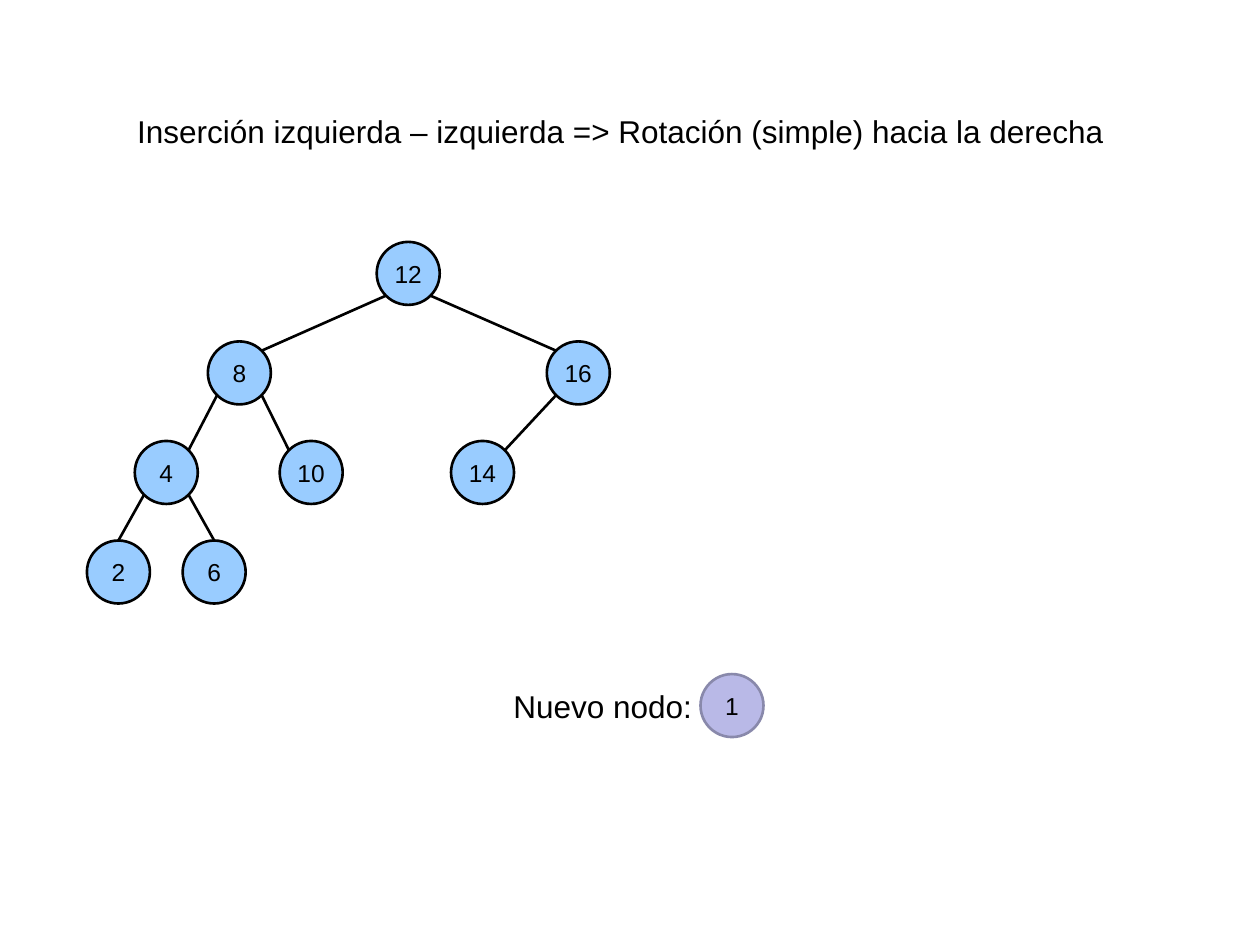
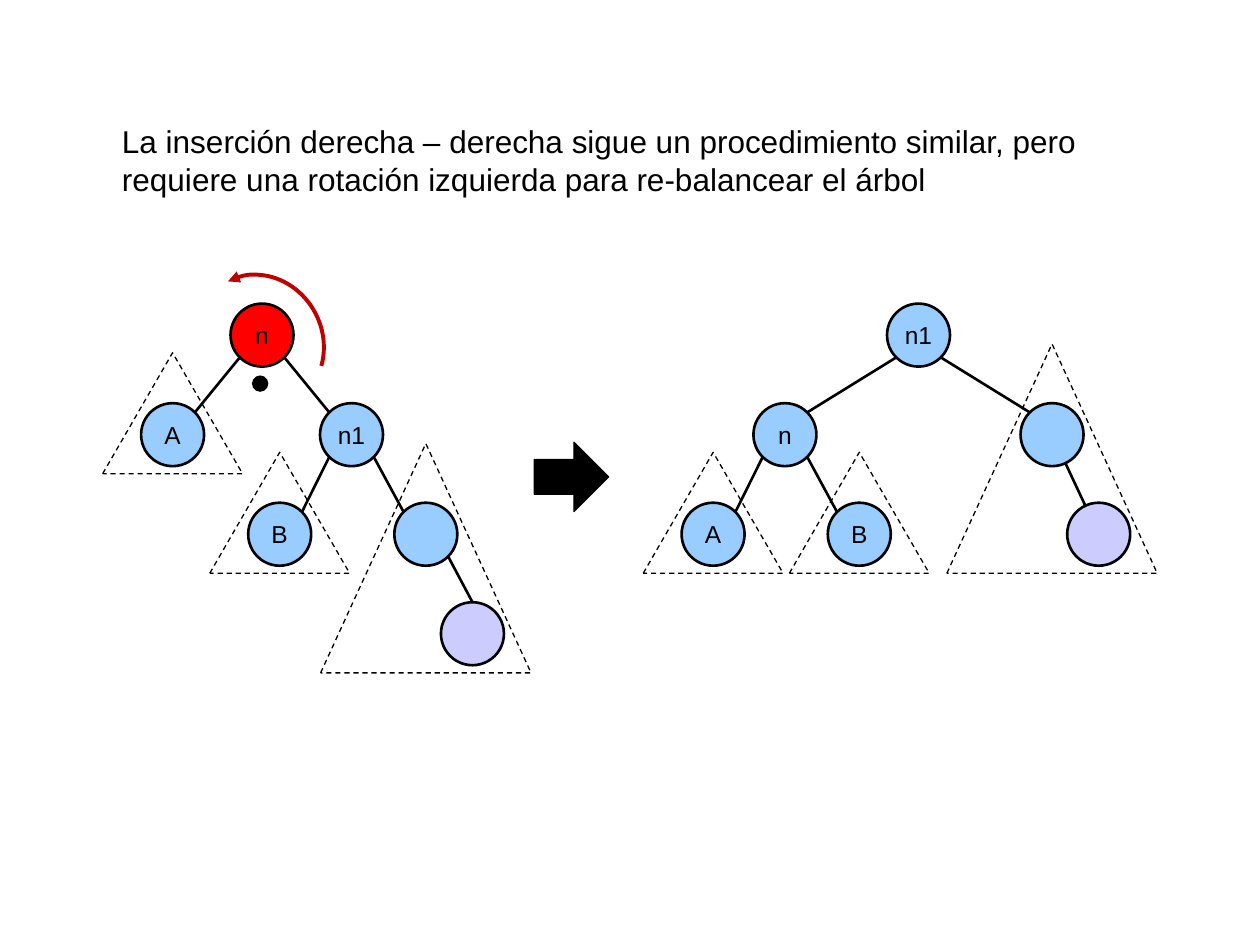
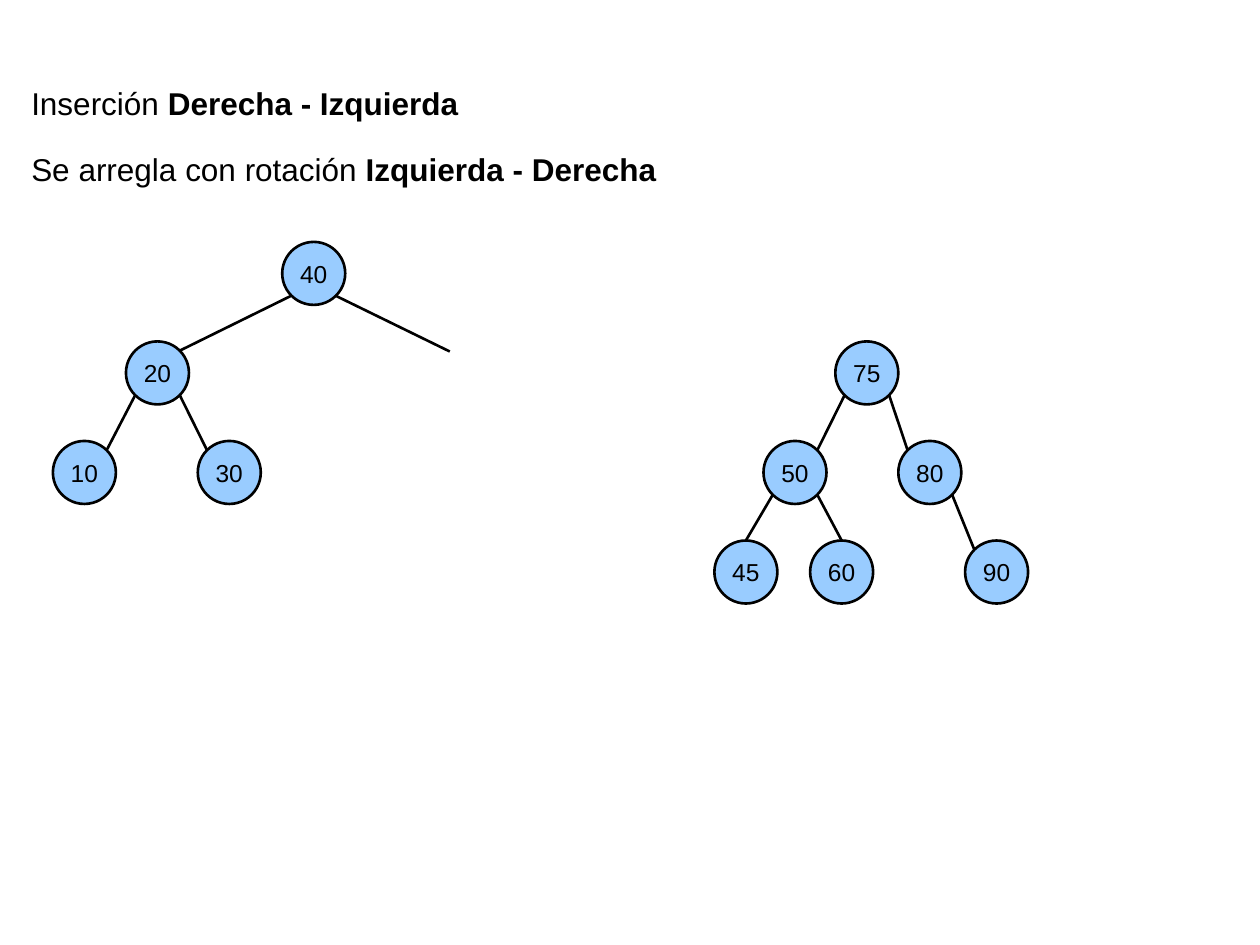
from dataclasses import dataclass
from math import hypot, sqrt

from lxml.etree import SubElement
from pptx import Presentation
from pptx.dml.color import RGBColor
from pptx.enum.dml import MSO_LINE
from pptx.enum.shapes import MSO_CONNECTOR, MSO_SHAPE
from pptx.enum.text import MSO_ANCHOR, MSO_AUTO_SIZE, PP_ALIGN
from pptx.oxml.ns import qn
from pptx.util import Inches, Pt


@dataclass(frozen=True)
class Theme:
    font: str = "Arial"
    body_size: int = 18
    node_size: int = 14
    ink: str = "000000"
    node: str = "99CCFF"
    new_node: str = "CCCCFF"
    pending: str = "B9B9E7"
    pending_line: str = "8989AB"
    unbalanced: str = "FF0000"
    turn: str = "C00000"
    node_line: float = 1.5
    thin_line: float = 0.75
    turn_line: float = 2.25


@dataclass(frozen=True)
class Subtree:
    """Dashed triangle around a node; lift is its height above the node."""
    width: float
    height: float
    lift: float


@dataclass(frozen=True)
class Node:
    key: str
    left: float
    level: int = 0
    parent: str = ""
    label: str | None = None
    fill: str = Theme.node
    subtree: Subtree | None = None
    radial: bool = False  # edge runs straight between the centres


DIAMETER = 0.5
RADIUS = DIAMETER / 2
CORNER = RADIUS / sqrt(2)
LEVEL_STEP = 0.79
NARROW = 0.45  # closer children take their edge at the top
SMALL = Subtree(1.11, 0.96, 0.4)
LARGE = Subtree(1.67, 1.82, 0.47)


class Deck:
    def __init__(self, theme):
        self.theme = theme
        self.prs = Presentation()
        self.prs.slide_width, self.prs.slide_height = Inches(10), Inches(7.5)
        self.shapes = None

    def new_slide(self):
        self.shapes = self.prs.slides.add_slide(self.prs.slide_layouts[6]).shapes

    def style(self, paragraph, size):
        font = paragraph.font
        font.name, font.size = self.theme.font, Pt(size)
        font.color.rgb = RGBColor.from_string(self.theme.ink)

    def text(self, left, top, width, height, *parts, align=PP_ALIGN.LEFT, wrap=True):
        """Parts alternate between regular and bold."""
        box = self.shapes.add_textbox(Inches(left), Inches(top), Inches(width), Inches(height))
        frame = box.text_frame
        frame.word_wrap = wrap
        frame.auto_size = MSO_AUTO_SIZE.SHAPE_TO_FIT_TEXT
        paragraph = frame.paragraphs[0]
        paragraph.alignment = align
        self.style(paragraph, self.theme.body_size)
        for index, part in enumerate(parts):
            run = paragraph.add_run()
            run.text = part
            if index % 2:
                run.font.bold = True

    def shape(self, kind, left, top, width, height, fill=None, line=None, weight=Theme.thin_line):
        shape = self.shapes.add_shape(
            kind, Inches(left), Inches(top), Inches(width), Inches(height))
        shape.shadow.inherit = False
        if fill:
            shape.fill.solid()
            shape.fill.fore_color.rgb = RGBColor.from_string(fill)
        else:
            shape.fill.background()
        if line:
            shape.line.color.rgb = RGBColor.from_string(line)
            shape.line.width = Pt(weight)
        else:
            shape.line.fill.background()
        return shape

    def circle(self, left, top, label, fill, line=Theme.ink):
        circle = self.shape(MSO_SHAPE.OVAL, left, top, DIAMETER, DIAMETER,
                            fill, line, self.theme.node_line)
        if label:
            frame = circle.text_frame
            frame.margin_left = frame.margin_right = frame.margin_top = frame.margin_bottom = 0
            frame.word_wrap = False
            frame.vertical_anchor = MSO_ANCHOR.MIDDLE
            paragraph = frame.paragraphs[0]
            paragraph.text = label
            paragraph.alignment = PP_ALIGN.CENTER
            self.style(paragraph, self.theme.node_size)

    def edge(self, start, end):
        edge = self.shapes.add_connector(MSO_CONNECTOR.STRAIGHT, *map(Inches, (*start, *end)))
        edge.line.color.rgb = RGBColor.from_string(self.theme.ink)
        edge.line.width = Pt(self.theme.node_line)
        SubElement(edge._element.spPr, qn("a:effectLst"))

    def join(self, parent, child, radial):
        """Draw the edge between two node centres."""
        (px, py), (cx, cy) = parent, child
        dx, dy = cx - px, cy - py
        side = 1 if dx > 0 else -1
        if radial:
            ux, uy = (RADIUS * d / hypot(dx, dy) for d in (dx, dy))
            self.edge((px + ux, py + uy), (cx - ux, cy - uy))
            return
        end = (cx, cy - RADIUS) if abs(dx) < NARROW else (cx - side * CORNER, cy - CORNER)
        self.edge((px + side * CORNER, py + CORNER), end)

    def tree(self, top, nodes):
        outer = self.shapes
        self.shapes = outer.add_group_shape().shapes
        centres = {}
        for node in nodes:
            node_top = top + node.level * LEVEL_STEP
            label = node.key if node.label is None else node.label
            self.circle(node.left, node_top, label, node.fill)
            centre = centres[node.key] = (node.left + RADIUS, node_top + RADIUS)
            if node.parent:
                self.join(centres[node.parent], centre, node.radial)
        for node in nodes:
            if node.subtree:
                self.subtree(centres[node.key], node.subtree)
        self.shapes = outer

    def subtree(self, centre, size):
        x, y = centre
        triangle = self.shape(
            MSO_SHAPE.ISOSCELES_TRIANGLE, x - size.width / 2, y - RADIUS - size.lift,
            size.width, size.height, line=self.theme.ink)
        triangle.line.dash_style = MSO_LINE.DASH

    def left_turn(self, left, top, width, height):
        arc = self.shape(MSO_SHAPE.ARC, left, top, width, height,
                         line=self.theme.turn, weight=self.theme.turn_line)
        arc.adjustments[0], arc.adjustments[1] = 132.62, 0.13
        arc.rotation = 62.3
        arc._element.spPr.xfrm.set("flipH", "1")
        SubElement(arc.line._get_or_add_ln(), qn("a:tailEnd"), type="triangle")


def left_left(deck):
    deck.new_slide()
    deck.text(0.99, 0.84, 8.01, 0.4,
              "Inserción izquierda – izquierda => Rotación (simple) hacia la derecha", wrap=False)
    deck.circle(5.56, 5.35, "1", deck.theme.pending, deck.theme.pending_line)
    deck.text(3.9, 5.4, 1.69, 0.4, "Nuevo nodo:", align=PP_ALIGN.RIGHT)
    deck.tree(1.92, [
        Node("12", 2.99),
        Node("8", 1.65, 1, "12"),
        Node("16", 4.34, 1, "12"),
        Node("4", 1.07, 2, "8"),
        Node("10", 2.22, 2, "8"),
        Node("14", 3.58, 2, "16"),
        Node("2", 0.69, 3, "4"),
        Node("6", 1.45, 3, "4"),
    ])


def right_right(deck):
    theme = deck.theme
    deck.new_slide()
    deck.text(0.87, 0.92, 8.26, 0.71,
              "La inserción derecha – derecha sigue un procedimiento similar, pero "
              "requiere una rotación izquierda para re-balancear el árbol")
    # Before the rotation
    deck.tree(2.41, [
        Node("n", 1.83, fill=theme.unbalanced),
        Node("A", 1.12, 1, "n", subtree=SMALL),
        Node("n1", 2.54, 1, "n"),
        Node("B", 1.97, 2, "n1", subtree=SMALL),
        Node("child", 3.13, 2, "n1", label="", subtree=LARGE),
        Node("new", 3.5, 3, "child", label="", fill=theme.new_node),
    ])
    deck.left_turn(1.52, 2.22, 1.09, 0.99)
    deck.shape(MSO_SHAPE.OVAL, 2, 2.98, 0.13, 0.13, theme.ink)
    deck.shape(MSO_SHAPE.RIGHT_ARROW, 4.24, 3.51, 0.59, 0.55, theme.ink, theme.ink)
    # After the rotation
    deck.tree(2.41, [
        Node("n1", 7.04),
        Node("n", 5.98, 1, "n1"),
        Node("child", 8.1, 1, "n1", label="", subtree=LARGE),
        Node("A", 5.41, 2, "n", subtree=SMALL),
        Node("B", 6.57, 2, "n", subtree=SMALL),
        Node("new", 8.47, 2, "child", label="", fill=theme.new_node, radial=True),
    ])


def right_left(deck):
    deck.new_slide()
    deck.text(0.15, 0.62, 4.73, 0.4, "Inserción ", "Derecha - Izquierda")
    deck.text(0.15, 1.14, 5.2, 0.4, "Se arregla con rotación ", "Izquierda - Derecha")
    deck.tree(1.92, [
        Node("40", 2.24),
        Node("20", 1, 1, "40"),
        Node("10", 0.42, 2, "20"),
        Node("30", 1.57, 2, "20"),
    ])
    # Open edge towards the missing right child
    deck.edge((2.67, 2.35), (3.57, 2.79))
    deck.tree(2.71, [
        Node("75", 6.63),
        Node("50", 6.06, 1, "75"),
        Node("80", 7.13, 1, "75"),
        Node("45", 5.67, 2, "50"),
        Node("60", 6.43, 2, "50"),
        Node("90", 7.66, 2, "80"),
    ])


def main():
    deck = Deck(Theme())
    for build in (left_left, right_right, right_left):
        build(deck)
    deck.prs.save("out.pptx")


if __name__ == "__main__":
    main()
